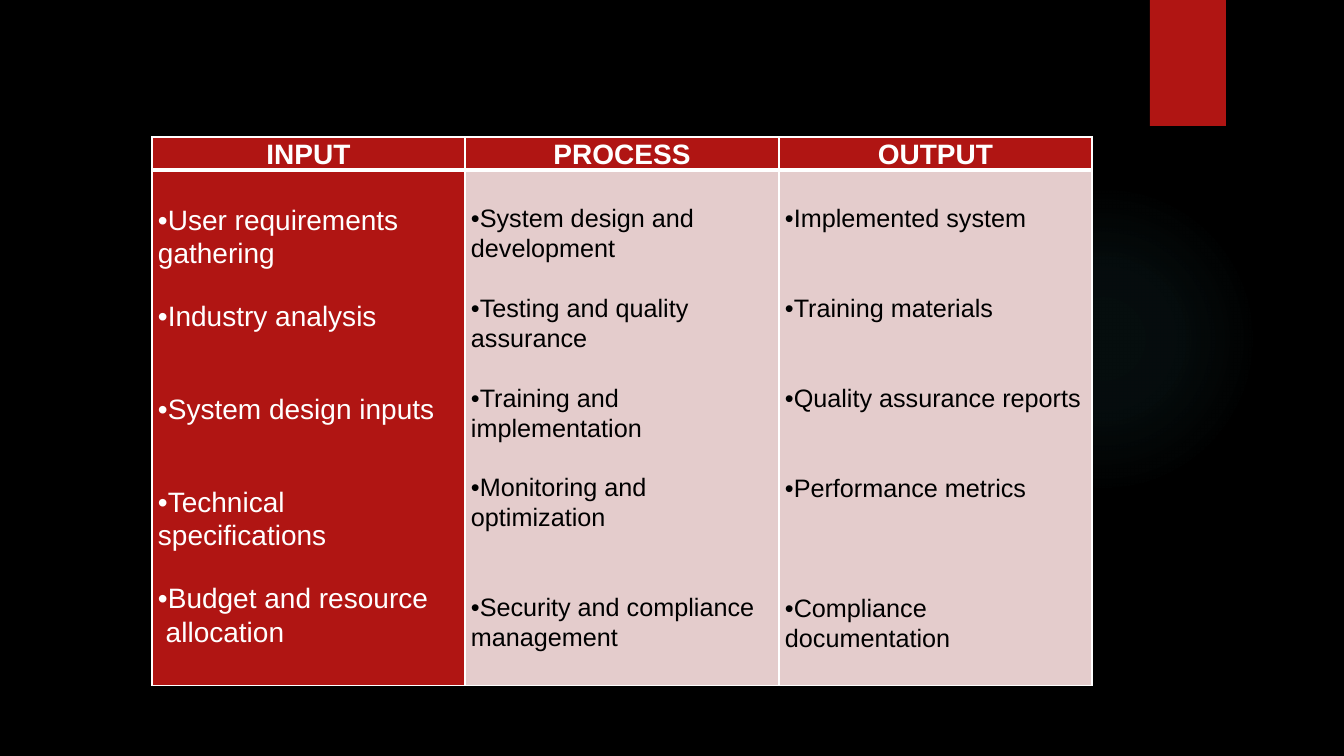
from lxml import etree
from pptx import Presentation
from pptx.dml.color import RGBColor
from pptx.enum.shapes import MSO_SHAPE
from pptx.enum.text import PP_ALIGN
from pptx.oxml import parse_xml
from pptx.oxml.ns import nsdecls, qn
from pptx.util import Pt

RECT, OVAL = MSO_SHAPE.RECTANGLE, MSO_SHAPE.OVAL
LEFT, CENTER = PP_ALIGN.LEFT, PP_ALIGN.CENTER
BLACK = RGBColor(0x00, 0x00, 0x00)
WHITE = RGBColor(0xFF, 0xFF, 0xFF)
RED = RGBColor(0xB0, 0x15, 0x13)
PINK = RGBColor(0xE4, 0xCC, 0xCC)
TEAL = RGBColor(0x50, 0xB9, 0xC1)
SCALE = 12192000 / 1344
BLANK = 30  # px, height of one skipped line

# Each item: skipped lines above it, text
HEADS = ["INPUT", "PROCESS", "OUTPUT"]
LISTS = [
    [(0, "•User requirements gathering"), (1, "•Industry analysis"),
     (2, "•System design inputs"), (2, "•Technical specifications"),
     (1, "•Budget and resource"), (0, " allocation")],
    [(0, "•System design and development"),
     (1, "•Testing and quality assurance"),
     (1, "•Training and implementation"),
     (1, "•Monitoring and optimization"),
     (2, "•Security and compliance management")],
    [(0, "•Implemented system"), (2, "•Training materials"),
     (2, "•Quality assurance reports"), (2, "•Performance metrics"),
     (3, "•Compliance documentation")],
]
HEAD = {"size": Pt(20), "bold": True, "color": WHITE}
FIRST = {"size": Pt(20), "bold": False, "color": WHITE}
PLAIN = {"size": Pt(18), "bold": False, "color": BLACK}


def px(count):
    return round(count * SCALE)


class Page:
    """Holds the style and the current slide."""

    def __init__(self, deck, font):
        self.font = font
        self.slide = deck.slides.add_slide(deck.slide_layouts[6])
        fill = self.slide.background.fill
        fill.solid()
        fill.fore_color.rgb = BLACK

    def shape(self, kind, box, color):
        item = self.slide.shapes.add_shape(kind, *map(px, box))
        item.shadow.inherit = False
        item.fill.solid()
        item.fill.fore_color.rgb = color
        item.line.fill.background()
        return item

    def glow(self, box, color, stops):
        item = self.shape(OVAL, box, color)
        marks = "".join(
            f'<a:gs pos="{pos * 1000}"><a:srgbClr val="{color}">'
            f'<a:alpha val="{alpha * 1000}"/></a:srgbClr></a:gs>'
            for pos, alpha in stops)
        grad = parse_xml(
            f'<a:gradFill {nsdecls("a")}><a:gsLst>{marks}</a:gsLst>'
            '<a:path path="circle"><a:fillToRect l="50000" t="50000" '
            'r="50000" b="50000"/></a:path></a:gradFill>')
        old = item.fill._xPr.find(qn("a:solidFill"))
        old.getparent().replace(old, grad)

    def table(self, left, top, cols, rows):
        box = map(px, (left, top, sum(cols), sum(rows)))
        grid = self.slide.shapes.add_table(len(rows), len(cols), *box).table
        for col, width in zip(grid.columns, cols):
            col.width = px(width)
        for row, height in zip(grid.rows, rows):
            row.height = px(height)
        return grid

    def edges(self, cell, widths):
        props = cell._tc.get_or_add_tcPr()
        for side, width in zip("LRTB", widths):
            line = etree.SubElement(props, qn(f"a:ln{side}"), w=str(Pt(width)))
            fill = etree.SubElement(line, qn("a:solidFill"))
            etree.SubElement(fill, qn("a:srgbClr"), val=str(WHITE))

    def cell(self, cell, items, style, back, widths, align=LEFT, top=0):
        self.edges(cell, widths)
        cell.fill.solid()
        cell.fill.fore_color.rgb = back
        margins = {"margin_left": px(6), "margin_right": px(6),
                   "margin_top": px(top), "margin_bottom": 0}
        for name, value in margins.items():
            setattr(cell, name, value)
        frame = cell.text_frame
        for index, (skip, text) in enumerate(items):
            para = frame.add_paragraph() if index else frame.paragraphs[0]
            layout = {"alignment": align, "line_spacing": 1.06,
                      "space_before": px(skip * BLANK)}
            for name, value in layout.items():
                setattr(para, name, value)
            run = para.add_run()
            run.text = text
            run.font.name = self.font
            for name, value in style.items():
                if name == "color":
                    run.font.color.rgb = value
                else:
                    setattr(run.font, name, value)


def main():
    deck = Presentation()
    deck.slide_width, deck.slide_height = px(1344), px(756)
    page = Page(deck, "Arial")

    # Backdrop
    page.glow((949, 184, 310, 310), TEAL, [(0, 7), (36, 6), (69, 0)])
    page.shape(RECT, (1150, 0, 76, 126), RED)

    # Table of inputs, processes and outputs
    grid = page.table(152, 137, [313, 314, 313], [33, 515])
    for col, (head, items) in enumerate(zip(HEADS, LISTS)):
        style, back = (PLAIN, PINK) if col else (FIRST, RED)
        page.cell(grid.cell(0, col), [(0, head)], HEAD, RED,
                  (1, 1, 1, 3), CENTER)
        page.cell(grid.cell(1, col), items, style, back,
                  (1, 1, 3, 1), top=33)

    deck.save("out.pptx")


if __name__ == "__main__":
    main()
